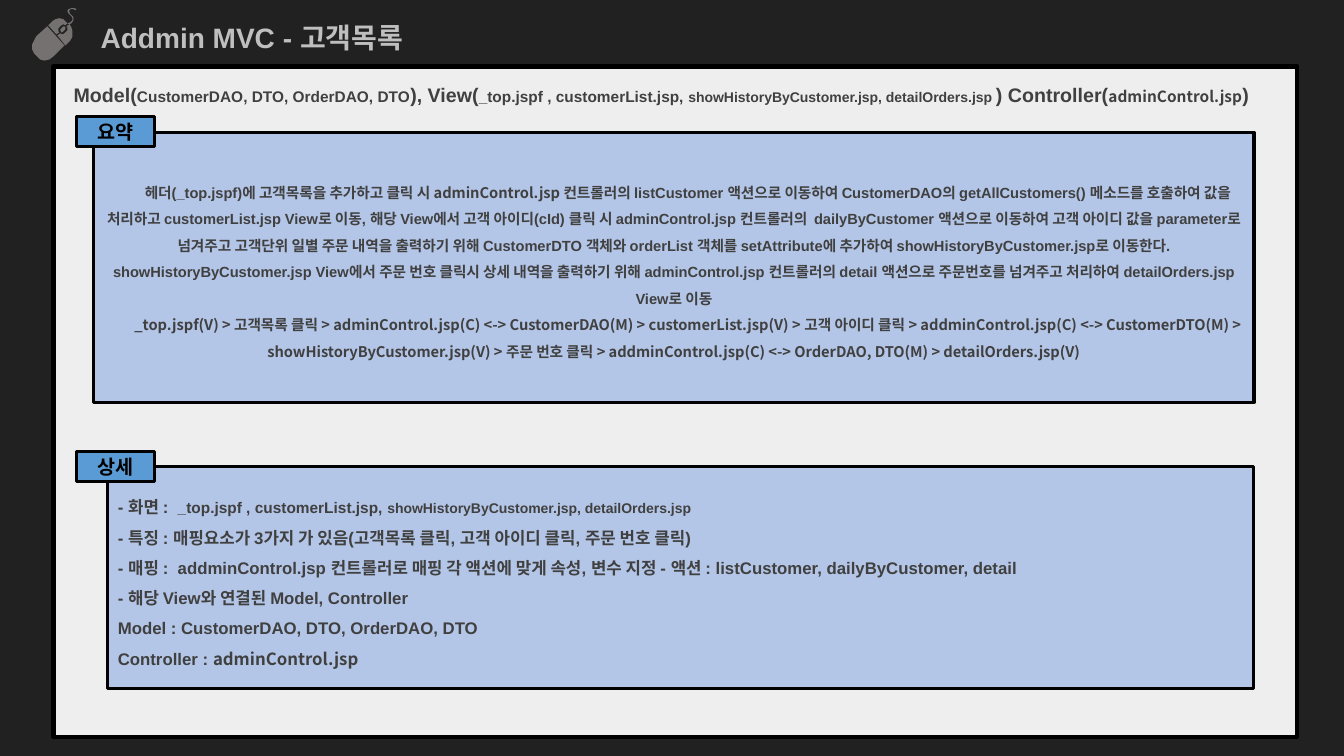
from lxml.etree import SubElement
from pptx import Presentation
from pptx.dml.color import RGBColor
from pptx.enum.shapes import MSO_SHAPE as Preset
from pptx.enum.text import MSO_ANCHOR as Anchor, MSO_AUTO_SIZE as AutoSize, PP_ALIGN as Align
from pptx.oxml.ns import qn
from pptx.util import Pt

BLACK = RGBColor(0x00, 0x00, 0x00)
BACKDROP = RGBColor(0x21, 0x21, 0x21)
PAPER = RGBColor(0xEE, 0xEE, 0xEE)
PALE_BLUE = RGBColor(0xB4, 0xC6, 0xE7)
TAB_BLUE = RGBColor(0x5B, 0x9B, 0xD5)
TEXT_GRAY = RGBColor(0x40, 0x40, 0x40)
TITLE_GRAY = RGBColor(0xBF, 0xBF, 0xBF)
ICON_GRAY = RGBColor(0x76, 0x71, 0x71)
LATIN = "Arial"
KOREAN = "Noto Sans CJK KR"

MODEL = "CustomerDAO, DTO, OrderDAO, DTO"
FIRST_VIEWS = "_top.jspf , customerList.jsp, "
LAST_VIEWS = "showHistoryByCustomer.jsp, detailOrders.jsp"

# Each paragraph is a list of runs: (text, size, font).
HEADING = [[
    ("Model(", 14, LATIN), (MODEL, 11, LATIN), ("), View(", 14, LATIN),
    (FIRST_VIEWS, 11, LATIN), (LAST_VIEWS + " ", 10, LATIN),
    (") Controller(", 14, LATIN), ("adminControl.jsp", 11, KOREAN), (")", 14, LATIN),
]]
SUMMARY = [
    [("헤더(_top.jspf)에 ", 10.5, LATIN),
     ("고객목록을 추가하고 클릭 시 adminControl.jsp 컨트롤러의 ", 10.5, KOREAN),
     ("listCustomer 액션으로 이동하여 CustomerDAO의 getAllCustomers() 메소드를 호출하여 "
      "값을 처리하고 customerList.jsp View로 이동, 해당 View에서 고객 아이디(cId) 클릭 시 "
      "adminControl.jsp 컨트롤러의  dailyByCustomer 액션으로 이동하여 고객 아이디 값을 "
      "parameter로 넘겨주고 고객단위 일별 주문 내역을 출력하기 위해 CustomerDTO 객체와 "
      "orderList 객체를 setAttribute에 추가하여 showHistoryByCustomer.jsp로 이동한다. "
      "showHistoryByCustomer.jsp View에서 주문 번호 클릭시 상세 내역을 출력하기 위해 "
      "adminControl.jsp 컨트롤러의 detail 액션으로 주문번호를 넘겨주고 처리하여 "
      "detailOrders.jsp View로 이동", 10.5, LATIN)],
    [("_top.jspf(V) > 고객목록 클릭 > adminControl.jsp(C) <-> CustomerDAO(M) > "
      "customerList.jsp(V) > 고객 아이디 클릭 > addminControl.jsp(C) <-> CustomerDTO(M) > "
      "showHistoryByCustomer.jsp(V) > 주문 번호 클릭 > addminControl.jsp(C) <-> "
      "OrderDAO, DTO(M) > detailOrders.jsp(V)", 10.5, KOREAN)],
]
DETAIL = [
    [("- 화면 :  ", 12, LATIN), (FIRST_VIEWS, 11, LATIN), (LAST_VIEWS, 10, LATIN)],
    [("- 특징 : 매핑요소가 3가지 가 있음(고객목록 클릭, 고객 아이디 클릭, 주문 번호 클릭)", 12, LATIN)],
    [("- 매핑 :  addminControl.jsp 컨트롤러로 매핑 각 액션에 맞게 속성, 변수 지정 "
      "- 액션 : listCustomer, dailyByCustomer, detail", 12, LATIN)],
    [("- 해당 View와 연결된 Model, Controller", 12, LATIN)],
    [("Model : " + MODEL, 12, LATIN)],
    [("Controller : ", 12, LATIN), ("adminControl.jsp", 12, KOREAN)],
]

# Outlines of the mouse icon, in hundredths of an inch from its corner.
MOUSE_OUTLINES = {
    "wheel": [(32, 18), (33, 19), (33, 21), (30, 24), (29, 24), (28, 22), (28, 21), (31, 18)],
    "body": [(15, 18), (32, 37), (21, 48), (17, 51), (12, 52), (8, 51), (5, 48), (2, 45),
             (0, 41), (0, 36), (2, 32), (4, 28)],
    "right button": [(37, 16), (39, 19), (40, 23), (40, 28), (38, 32), (33, 37), (25, 27),
                     (28, 25), (30, 26), (32, 25), (35, 22), (35, 19), (34, 18)],
    "left button": [(27, 10), (31, 11), (35, 15), (33, 17), (31, 16), (29, 17), (26, 20),
                    (26, 23), (27, 24), (24, 26), (16, 17), (20, 13), (23, 11)],
    "cable": [(39, 0), (42, 0), (44, 1), (43, 2), (41, 1), (38, 1), (37, 2), (37, 4),
              (38, 6), (41, 9), (41, 12), (39, 15), (37, 16), (35, 15), (38, 14),
              (40, 12), (40, 10), (39, 8), (36, 5), (35, 3), (36, 1)],
}


def write_text(shape, paragraphs, color=TEXT_GRAY, align=Align.LEFT, anchor=Anchor.TOP,
               line_spacing=1.0, first_indent=0, left_inset=7.2):
    frame = shape.text_frame
    frame.word_wrap = True
    frame.vertical_anchor = anchor
    frame.margin_left = Pt(left_inset)
    for index, runs in enumerate(paragraphs):
        paragraph = frame.add_paragraph() if index else frame.paragraphs[0]
        paragraph.alignment = align
        paragraph.line_spacing = line_spacing
        if first_indent:
            properties = paragraph._p.get_or_add_pPr()
            properties.set("marL", "0")
            properties.set("indent", str(Pt(first_indent)))
        for text, size, font_name in runs:
            run = paragraph.add_run()
            run.text = text
            run.font.size = Pt(size)
            run.font.bold = True
            run.font.name = font_name
            run.font.color.rgb = color
            SubElement(run._r.get_or_add_rPr(), qn("a:ea")).set("typeface", KOREAN)


def add_box(slide, box, fill, line_width):
    shape = slide.shapes.add_shape(Preset.RECTANGLE, *map(Pt, box))
    shape.shadow.inherit = False
    shape.fill.solid()
    shape.fill.fore_color.rgb = fill
    shape.line.color.rgb = BLACK
    shape.line.width = Pt(line_width)
    return shape


def add_mouse_icon(slide, left, top):
    first, *others = MOUSE_OUTLINES.values()
    builder = slide.shapes.build_freeform(*first[0], scale=Pt(0.72))
    builder.add_line_segments(first[1:], close=True)
    for outline in others:
        builder.move_to(*outline[0])
        builder.add_line_segments(outline[1:], close=True)
    icon = builder.convert_to_shape(Pt(left), Pt(top))
    icon.shadow.inherit = False
    icon.fill.solid()
    icon.fill.fore_color.rgb = ICON_GRAY
    icon.line.fill.background()


def add_title(slide, box):
    left, top, width, height = box
    add_mouse_icon(slide, left, top)
    title = slide.shapes.add_textbox(Pt(left + 41.8), Pt(top + 2.2), Pt(width - 41.8), Pt(height))
    write_text(title, [[("Addmin MVC - 고객목록", 20, LATIN)]],
               color=TITLE_GRAY, line_spacing=1.14)
    title.text_frame.auto_size = AutoSize.SHAPE_TO_FIT_TEXT


def add_section(slide, box, label, paragraphs, body_indent, **text_format):
    """Place a body with a label tab over its top left corner."""
    left, top, width, height = box
    body_box = (left + body_indent, top + 11, width - body_indent, height - 11)
    body = add_box(slide, body_box, PALE_BLUE, 2.25)
    write_text(body, paragraphs, anchor=Anchor.MIDDLE, line_spacing=1.5, **text_format)
    tab = add_box(slide, (left, top, 55.4, 21.2), TAB_BLUE, 2.25)
    write_text(tab, [[(label, 14, KOREAN)]], color=BLACK,
               align=Align.CENTER, anchor=Anchor.MIDDLE)


def add_content(slide, box):
    left, top, width, height = box
    panel = add_box(slide, box, PAPER, 3)
    write_text(panel, HEADING, line_spacing=1.5, left_inset=14.4)
    section_left, section_width = left + 16.6, width - 47.6
    add_section(slide, (section_left, top + 36, section_width, 204), "요약", SUMMARY, 12.2,
                align=Align.CENTER, first_indent=20)
    add_section(slide, (section_left, top + 275, section_width, 169.5), "상세", DETAIL, 22.3)


def main():
    presentation = Presentation()
    presentation.slide_width, presentation.slide_height = Pt(960), Pt(540)
    slide = presentation.slides.add_slide(presentation.slide_layouts[6])
    slide.background.fill.solid()
    slide.background.fill.fore_color.rgb = BACKDROP
    add_content(slide, (38.2, 47.5, 888.5, 478.8))
    add_title(slide, (23, 5.8, 422, 34.6))
    presentation.save("out.pptx")


if __name__ == "__main__":
    main()
